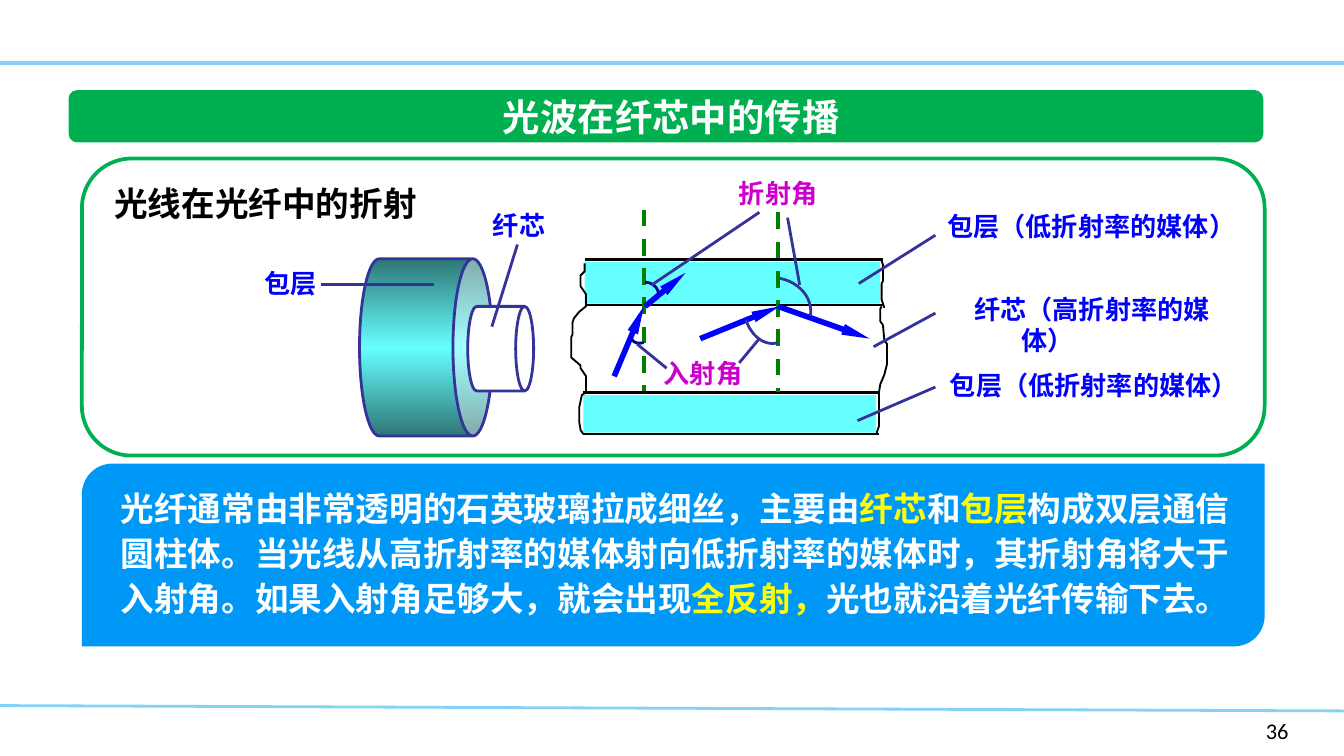
from dataclasses import dataclass

from lxml import etree
from pptx import Presentation
from pptx import util as u
from pptx.dml.color import RGBColor
from pptx.enum import dml, shapes, text
from pptx.oxml import ns


@dataclass(frozen=True)
class Theme:
    font: str = "Noto Sans CJK SC"
    number_font: str = "Calibri"
    white: str = "FFFFFF"
    black: str = "000000"
    rule: str = "85D1F7"
    green: str = "00B050"
    panel: str = "0098F6"
    highlight: str = "FFFF00"
    cladding: str = "66FFFF"
    cladding_shade: str = "2F7676"
    ray: str = "0000FF"
    angle: str = "CC00CC"
    normal: str = "008000"
    leader: str = "333399"
    small_arc: str = "000099"
    title_size: int = 20
    body_size: int = 18
    label_size: int = 14
    number_size: int = 12


THEME = Theme()
SHAPE = shapes.MSO_SHAPE


def color(value):
    return RGBColor.from_string(value)


def add_line(slide, start, end, line_color, width, dashed=False, arrow=False):
    line = slide.shapes.add_connector(
        shapes.MSO_CONNECTOR.STRAIGHT, *(u.Inches(value) for value in (*start, *end)))
    line.line.color.rgb = color(line_color)
    line.line.width = u.Pt(width)
    if dashed:
        line.line.dash_style = dml.MSO_LINE.DASH
    if arrow:
        etree.SubElement(line.line._get_or_add_ln(), ns.qn("a:tailEnd"),
                         type="triangle", w="sm", len="lg")
    etree.SubElement(line._element.spPr, ns.qn("a:effectLst"))


def add_block(slide, kind, box, fill, line_color=None, width=1.5, adjust=None, rotation=0):
    shape = slide.shapes.add_shape(kind, *(u.Inches(value) for value in box))
    shape.shadow.inherit = False
    shape.rotation = rotation
    shape.fill.solid()
    shape.fill.fore_color.rgb = color(fill)
    if line_color:
        shape.line.color.rgb = color(line_color)
        shape.line.width = u.Pt(width)
    else:
        shape.line.fill.background()
    if adjust is not None:
        shape.adjustments[0] = adjust
    return shape


def add_band_gradient(shape, edge, middle):
    """Shade a shape from edge to middle and back to edge."""
    shape.fill.gradient()
    shape.fill.gradient_angle = 0
    stops = shape._element.spPr.find(ns.qn("a:gradFill")).find(ns.qn("a:gsLst"))
    for stop in list(stops):
        stops.remove(stop)
    for position, value in ((0, edge), (50000, middle), (100000, edge)):
        stop = etree.SubElement(stops, ns.qn("a:gs"), pos=str(position))
        etree.SubElement(stop, ns.qn("a:srgbClr"), val=value)


def add_outline(slide, points, line_color, width):
    corners = [(u.Inches(x), u.Inches(y)) for x, y in points]
    builder = slide.shapes.build_freeform(*corners[0])
    builder.add_line_segments(corners[1:], close=False)
    shape = builder.convert_to_shape()
    shape.shadow.inherit = False
    shape.fill.background()
    shape.line.color.rgb = color(line_color)
    shape.line.width = u.Pt(width)


def add_arc(slide, controls, line_color, steps=12):
    """Draw a cubic curve through its four control points."""
    points = []
    for step in range(steps + 1):
        t = step / steps
        weights = ((1 - t) ** 3, 3 * t * (1 - t) ** 2, 3 * t * t * (1 - t), t ** 3)
        points.append(tuple(sum(weight * point[axis] for weight, point in zip(weights, controls))
                            for axis in (0, 1)))
    add_outline(slide, points, line_color, 1.5)


def add_text(slide, content, box, size=THEME.label_size, fill=THEME.ray, font=THEME.font,
             bold=True, align=None, anchor=text.MSO_ANCHOR.TOP, wrap=True, spacing=None, hanging=0):
    """Add a text box; content is a string or a list of (string, colour) runs."""
    shape = slide.shapes.add_textbox(*(u.Inches(value) for value in box))
    frame = shape.text_frame
    frame.word_wrap = wrap
    frame.vertical_anchor = anchor
    paragraph = frame.paragraphs[0]
    if align is not None:
        paragraph.alignment = align
    if spacing:
        paragraph.line_spacing = u.Pt(spacing)
    if hanging:
        properties = paragraph._p.get_or_add_pPr()
        properties.set("marL", str(u.Inches(hanging)))
        properties.set("indent", str(-u.Inches(hanging)))
    runs = [(content, fill)] if isinstance(content, str) else content
    for words, run_color in runs:
        run = paragraph.add_run()
        run.text = words
        run.font.size = u.Pt(size)
        run.font.bold = bold
        run.font.name = font
        run.font.color.rgb = color(run_color)
        etree.SubElement(run._r.get_or_add_rPr(), ns.qn("a:ea"), typeface=font)


def add_frame(slide):
    # Rules, title banner and page number
    add_line(slide, (0, 5.25), (10, 5.29), THEME.rule, 1.5)
    add_line(slide, (0, 0.47), (10, 0.47), THEME.rule, 2)
    add_block(slide, SHAPE.ROUNDED_RECTANGLE, (0.51, 0.67, 8.89, 0.39), THEME.green, adjust=0.167)
    add_text(slide, "36", (9.32, 5.29, 0.61, 0.3), THEME.number_size, THEME.black,
             THEME.number_font, bold=False)
    add_text(slide, "光波在纤芯中的传播", (1.37, 0.67, 7.25, 0.39), THEME.title_size, THEME.white,
             align=text.PP_ALIGN.CENTER, anchor=text.MSO_ANCHOR.MIDDLE)
    add_block(slide, SHAPE.ROUNDED_RECTANGLE, (0.61, 1.18, 8.8, 2.21), THEME.white, THEME.green, 2)
    add_text(slide, "光线在光纤中的折射", (0.72, 1.31, 2.51, 0.4), THEME.body_size, THEME.black,
             align=text.PP_ALIGN.CENTER)


def add_section(slide):
    # Cladding layers with their borders
    for left, right, top, bottom in ((4.35, 6.57, 1.93, 2.27), (4.34, 6.54, 2.92, 3.23)):
        for y in (top, bottom):
            add_line(slide, (left, y), (right, y), THEME.black, 1.5)
        add_block(slide, SHAPE.RECTANGLE, (left, top + 0.02, right - left - 0.02, bottom - top - 0.03),
                  THEME.cladding)

    # Broken ends of the fibre
    left_edge = ((4.35, 1.96), (4.35, 2.02), (4.32, 2.05), (4.32, 2.13), (4.36, 2.19), (4.36, 2.28),
                 (4.31, 2.32), (4.27, 2.37), (4.26, 2.4), (4.26, 2.49), (4.25, 2.51), (4.25, 2.66),
                 (4.32, 2.72), (4.32, 2.74), (4.36, 2.8), (4.36, 2.92), (4.33, 2.94), (4.31, 3.03),
                 (4.31, 3.14), (4.32, 3.2), (4.34, 3.23))
    upper_right = ((6.56, 1.94), (6.57, 1.97), (6.57, 2.09), (6.56, 2.11), (6.56, 2.23), (6.58, 2.29))
    middle_right = ((6.56, 2.28), (6.55, 2.3), (6.55, 2.39), (6.57, 2.42), (6.58, 2.53), (6.6, 2.56),
                    (6.6, 2.71), (6.58, 2.79), (6.55, 2.86), (6.54, 2.92))
    lower_right = ((6.54, 2.91), (6.54, 3.17), (6.52, 3.23))
    for edge in (left_edge, upper_right, middle_right, lower_right):
        add_outline(slide, edge, THEME.black, 1)

    # Normals, rays and angle arcs
    for x, top, bottom in ((4.79, 1.56, 2.91), (5.79, 1.58, 2.92)):
        add_line(slide, (x, top), (x, bottom), THEME.normal, 2.25, dashed=True)
    for start, end in (((4.57, 2.8), (4.79, 2.28)), ((4.8, 2.28), (5.1, 2.03)),
                       ((5.21, 2.52), (5.8, 2.28)), ((5.79, 2.28), (6.47, 2.52))):
        add_line(slide, start, end, THEME.ray, 3, arrow=True)
    for controls, arc_color in (
            (((4.79, 2.55), (4.75, 2.56), (4.71, 2.55), (4.7, 2.52)), THEME.small_arc),
            (((4.8, 2.1), (4.85, 2.1), (4.9, 2.14), (4.9, 2.19)), THEME.small_arc),
            (((5.79, 2.55), (5.69, 2.58), (5.59, 2.5), (5.55, 2.38)), THEME.leader),
            (((5.8, 2.07), (5.95, 2.1), (6.05, 2.22), (6.03, 2.35)), THEME.leader)):
        add_arc(slide, controls, arc_color)


def add_cylinders(slide):
    cladding = add_block(slide, SHAPE.CAN, (2.51, 2.09, 1.32, 0.99), THEME.cladding, THEME.leader,
                         adjust=0.298, rotation=90)
    add_band_gradient(cladding, THEME.cladding_shade, THEME.cladding)
    add_block(slide, SHAPE.CAN, (3.41, 2.35, 0.63, 0.49), THEME.white, THEME.leader,
              adjust=0.273, rotation=90)


def add_labels(slide):
    # Leader lines
    for start, end in (((5.86, 1.62), (5.95, 2.12)), ((4.85, 2.12), (5.65, 1.58)),
                       ((4.74, 2.56), (4.96, 2.74)), ((5.5, 2.7), (5.65, 2.52)),
                       ((6.5, 2.58), (6.96, 2.33)), ((6.96, 1.75), (6.39, 2.11)),
                       ((6.96, 2.88), (6.38, 3.13)), ((2.39, 2.12), (3.23, 2.12)),
                       ((3.85, 1.82), (3.66, 2.43))):
        add_line(slide, start, end, THEME.leader, 1.5)

    # Names of angles and layers
    add_text(slide, "折射角", (5.4, 1.27, 0.79, 0.33), fill=THEME.angle, wrap=False)
    add_text(slide, "入射角", (4.84, 2.61, 0.83, 0.33), fill=THEME.angle)
    for left, top in ((6.95, 1.52), (6.97, 2.7)):
        add_text(slide, "包层（低折射率的媒体）", (left, top, 2.36, 0.34), wrap=False)
    add_text(slide, "纤芯（高折射率的媒体）", (7.15, 2.13, 2.05, 0.58), hanging=0.35)
    add_text(slide, "包层", (1.87, 1.94, 0.59, 0.34), wrap=False)
    add_text(slide, "纤芯", (3.57, 1.51, 0.7, 0.34))


def add_explanation(slide):
    add_block(slide, SHAPE.ROUND_2_DIAG_RECTANGLE, (0.61, 3.45, 8.8, 1.36), THEME.panel)
    add_text(slide, [
        ("光纤通常由非常透明的石英玻璃拉成细丝，主要由", THEME.white),
        ("纤芯", THEME.highlight),
        ("和", THEME.white),
        ("包层", THEME.highlight),
        ("构成双层通信圆柱体。当光线从高折射率的媒体射向低折射率的媒体时，其折射角将大于入射角。"
         "如果入射角足够大，就会出现", THEME.white),
        ("全反射，", THEME.highlight),
        ("光也就沿着光纤传输下去。", THEME.white),
    ], (0.8, 3.55, 8.53, 1.11), THEME.body_size, spacing=24)


def main():
    presentation = Presentation()
    presentation.slide_width = u.Inches(10)
    presentation.slide_height = u.Inches(10) * 9 // 16
    slide = presentation.slides.add_slide(presentation.slide_layouts[6])
    add_frame(slide)
    add_section(slide)
    add_cylinders(slide)
    add_labels(slide)
    add_explanation(slide)
    presentation.save("out.pptx")


if __name__ == "__main__":
    main()
